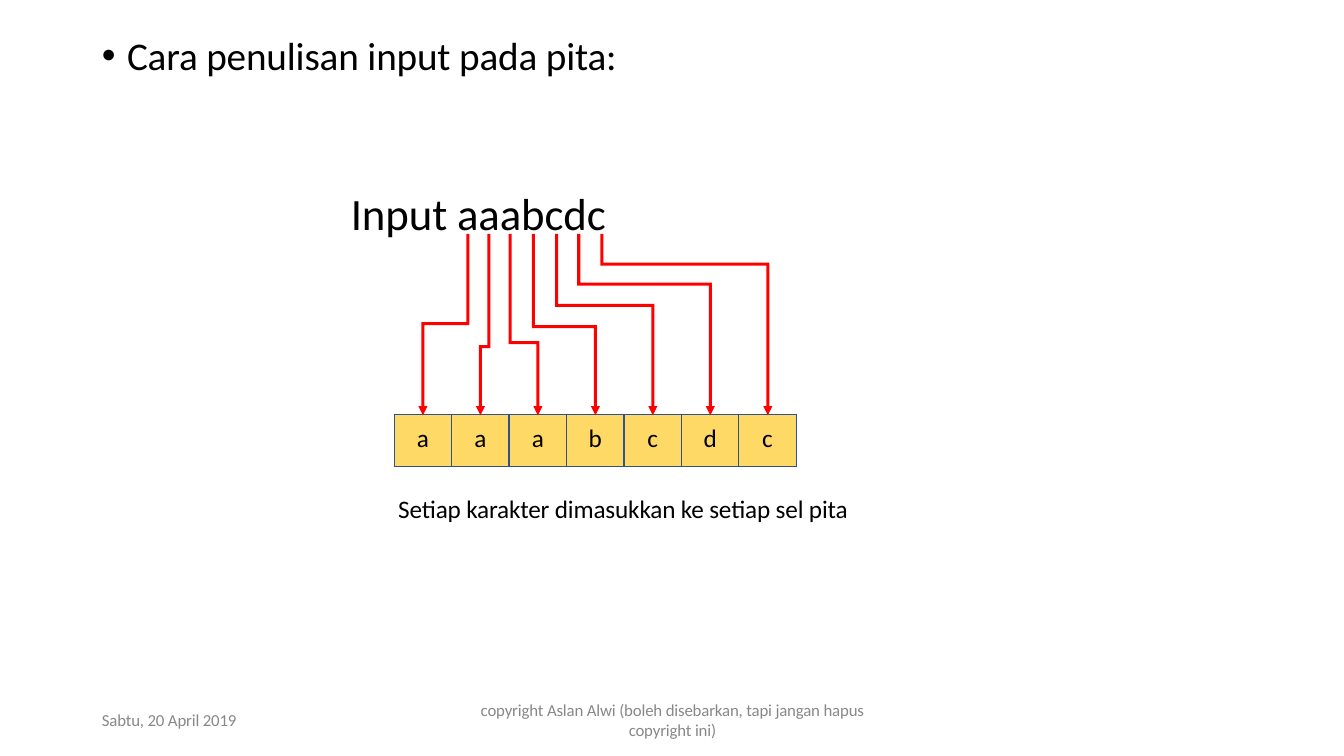
from lxml import etree
from pptx import Presentation
from pptx.dml.color import RGBColor
from pptx.enum.text import PP_ALIGN
from pptx.oxml.ns import qn
from pptx.util import Inches, Pt

# Content
HEADING = "Cara penulisan input pada pita:"
INPUT_LINE = "Input aaabcdc"
TAPE = "aaabcdc"
CAPTION = "Setiap karakter dimasukkan ke setiap sel pita"
DATE = "Sabtu, 20 April 2019"
FOOTER = ["copyright Aslan Alwi (boleh disebarkan, tapi jangan hapus",
          "copyright ini)"]
# One arrow per character: x below the character, y of the bend
ARROWS = [(4.64, 3.21), (4.85, 3.44), (5.06, 3.4), (5.29, 3.24),
          (5.52, 3.03), (5.74, 2.82), (5.97, 2.62)]

# Look and layout, in inches
FONT = "Calibri"
BLACK, GREY, RED, YELLOW, BLUE = "000000", "888888", "FF0000", "FFD966", "2E528F"
TAPE_LEFT, TAPE_TOP, CELL_WIDTH, CELL_HEIGHT = 3.91, 4.11, 0.57, 0.52
ARROW_TOP, HEAD_TOP, ARROW_TIP = 2.32, 4.03, 4.12
HALF_LINE, HALF_HEAD = 0.015, 0.045


def colour(hex_string):
    return RGBColor.from_string(hex_string)


def style(paragraph, size, hex_string, align=PP_ALIGN.LEFT, tracking=0):
    paragraph.alignment = align
    for run in paragraph.runs:
        run.font.name = FONT
        run.font.size = Pt(size)
        run.font.color.rgb = colour(hex_string)
        if tracking:
            run.font._element.set("spc", str(round(tracking * 100)))


def add_text(slide, box, lines, size, hex_string, align=PP_ALIGN.LEFT):
    frame = slide.shapes.add_textbox(*map(Inches, box)).text_frame
    frame.word_wrap = True
    frame.margin_left = frame.margin_right = 0
    frame.margin_top = frame.margin_bottom = 0
    frame.text = "\n".join(lines)
    for paragraph in frame.paragraphs:
        style(paragraph, size, hex_string, align, tracking=-0.1)
    return frame.paragraphs


def indent(paragraph, left, first=0):
    properties = paragraph._p.get_or_add_pPr()
    properties.set("marL", str(Inches(left)))
    properties.set("indent", str(Inches(first)))
    return properties


def add_border(cell):
    properties = cell._tc.get_or_add_tcPr()
    for position, side in enumerate(("lnL", "lnR", "lnT", "lnB")):
        line = etree.Element(qn(f"a:{side}"), w=str(Pt(1)))
        fill = etree.SubElement(line, qn("a:solidFill"))
        etree.SubElement(fill, qn("a:srgbClr"), val=BLUE)
        properties.insert(position, line)


def add_tape(slide):
    table = slide.shapes.add_table(
        1, len(TAPE), Inches(TAPE_LEFT), Inches(TAPE_TOP),
        Inches(CELL_WIDTH * len(TAPE)), Inches(CELL_HEIGHT)).table
    table.first_row = table.horz_banding = False
    for column, character in enumerate(TAPE):
        table.columns[column].width = Inches(CELL_WIDTH)
        cell = table.cell(0, column)
        cell.margin_left = cell.margin_right = cell.margin_bottom = 0
        cell.margin_top = Inches(0.09)
        cell.fill.solid()
        cell.fill.fore_color.rgb = colour(YELLOW)
        cell.text = character
        style(cell.text_frame.paragraphs[0], 18, BLACK, PP_ALIGN.CENTER)
        add_border(cell)


def add_arrow(slide, start, bend, end):
    side = 1 if end > start else -1
    line, head = side * HALF_LINE, side * HALF_HEAD
    outline = [
        (start - line, ARROW_TOP), (start + line, ARROW_TOP),
        (start + line, bend - HALF_LINE), (end + line, bend - HALF_LINE),
        (end + line, HEAD_TOP), (end + head, HEAD_TOP), (end, ARROW_TIP),
        (end - head, HEAD_TOP), (end - line, HEAD_TOP),
        (end - line, bend + HALF_LINE), (start - line, bend + HALF_LINE)]
    points = [(Inches(x), Inches(y)) for x, y in outline]
    builder = slide.shapes.build_freeform(*points[0])
    builder.add_line_segments(points[1:], close=True)
    arrow = builder.convert_to_shape()
    arrow.shadow.inherit = False
    arrow.fill.solid()
    arrow.fill.fore_color.rgb = colour(RED)
    arrow.line.fill.background()


def main():
    presentation = Presentation()
    presentation.slide_width = Inches(13.33)
    presentation.slide_height = Inches(7.5)
    slide = presentation.slides.add_slide(presentation.slide_layouts[6])

    # Tape cells
    add_tape(slide)

    # Heading with bullet, then the input string below it
    heading, input_line = add_text(
        slide, (1, 0.31, 5.19, 2.1), [HEADING, INPUT_LINE], 28, BLACK)
    bullet = indent(heading, 0.26, -0.25)
    etree.SubElement(bullet, qn("a:buFont"), typeface="Arial")
    etree.SubElement(bullet, qn("a:buChar"), char="•")
    indent(input_line, 2.48)
    input_line.space_before = Pt(77)
    style(input_line, 32, BLACK)

    # Caption
    add_text(slide, (3.95, 4.89, 4.56, 0.33), [CAPTION], 18, BLACK)

    # Arrows from each character to the middle of its cell
    for column, (start, bend) in enumerate(ARROWS):
        centre = TAPE_LEFT + CELL_WIDTH * (column + 0.5)
        add_arrow(slide, start, bend, centre)

    # Footer
    footer = add_text(slide, (4.71, 6.97, 3.92, 0.4), FOOTER, 12, GREY,
                      PP_ALIGN.CENTER)
    date = add_text(slide, (1.01, 7.07, 1.39, 0.19), [DATE], 12, GREY)
    for first_line in (footer[0], date[0]):
        first_line.line_spacing = Pt(12.4)

    presentation.save("out.pptx")


if __name__ == "__main__":
    main()
